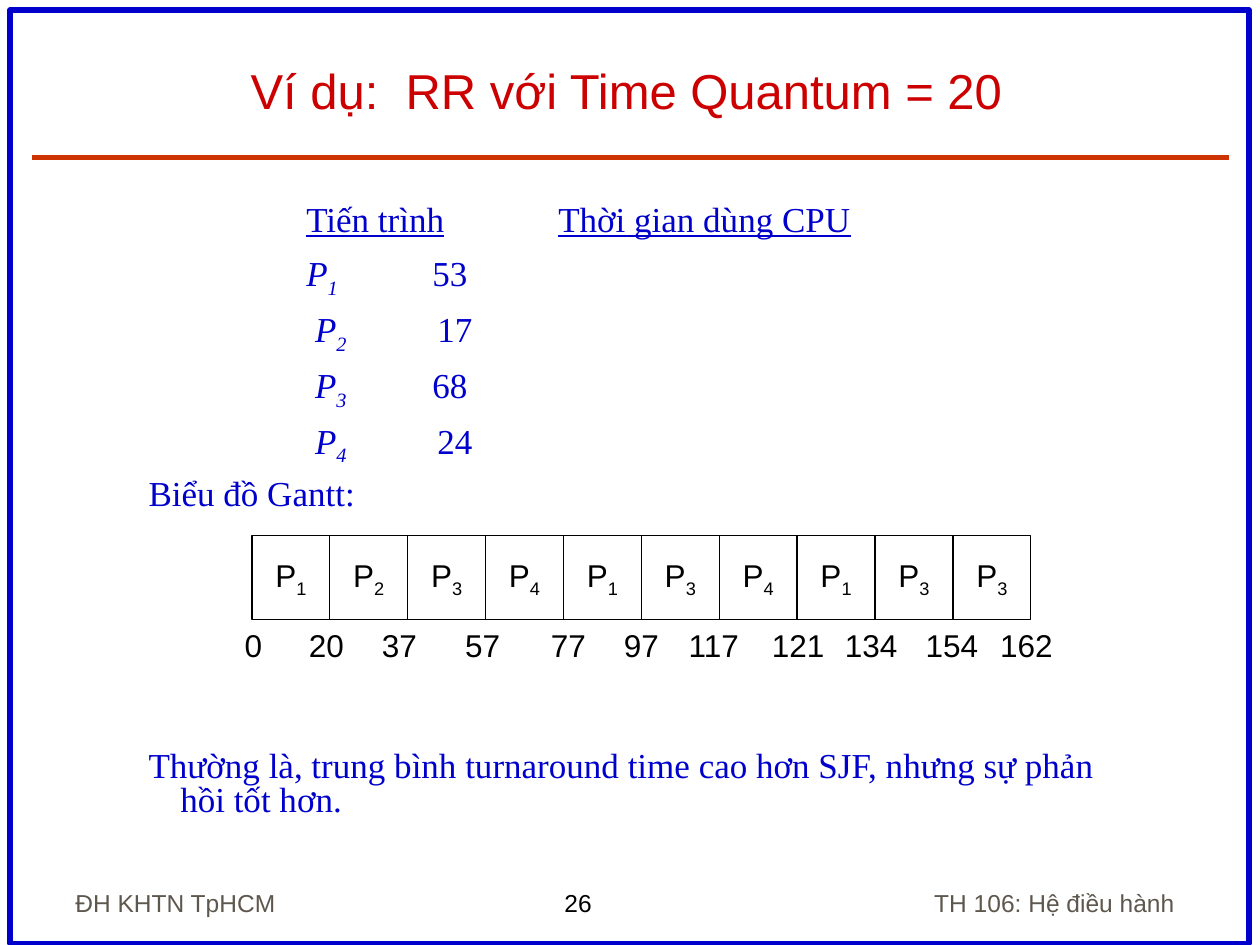
from pptx import Presentation
from pptx.dml.color import RGBColor
from pptx.enum.shapes import MSO_CONNECTOR, MSO_SHAPE
from pptx.enum.text import MSO_ANCHOR, MSO_AUTO_SIZE, PP_ALIGN
from pptx.oxml.ns import qn
from pptx.util import Cm, Pt
from lxml.etree import SubElement

TITLE = "Ví dụ:  RR với Time Quantum = 20"
HEADS = ("Tiến trình", "Thời gian dùng CPU")
BURSTS = [("", "1", "", "53"), (" ", "2", " ", "17"), (" ", "3", "", "68"), (" ", "4", " ", "24")]
GANTT_HEAD = "Biểu đồ Gantt:"
CONCLUSION = "Thường là, trung bình turnaround time cao hơn SJF, nhưng sự phản hồi tốt hơn."
GANTT = "1234134133"
TIMES = [("0", 5.11), ("20", 6.58), ("37", 8.05), ("57", 9.73), ("77", 11.46), ("97", 12.93),
         ("117", 14.39), ("121", 16.09), ("134", 17.56), ("154", 19.19), ("162", 20.69)]
FOOTERS = [("ĐH KHTN TpHCM", (1.27, 17.35, 5.28, 1.27), PP_ALIGN.LEFT, "grey", MSO_ANCHOR.BOTTOM),
           ("26", (11.13, 17.78, 2.77, 0.86), PP_ALIGN.LEFT, "black", MSO_ANCHOR.TOP),
           ("TH 106: Hệ điều hành", (16.94, 17.35, 6.99, 1.27), PP_ALIGN.RIGHT, "grey", MSO_ANCHOR.BOTTOM)]
COLORS = {"blue": "0000CC", "red": "CC0000", "rule": "CC3300",
          "grey": "5E574E", "black": "000000", "white": "FFFFFF"}
CELL_W, CELL_H, GANTT_X, GANTT_Y = 1.57, 1.69, 5.08, 10.8


def rgb(name):
    return RGBColor.from_string(COLORS[name])


def write(p, text, size=18, font="Arial", color="black", italic=False, underline=False, base=0):
    """Add a formatted run to a paragraph."""
    r = p.add_run()
    r.text = text
    f = r.font
    f.size, f.name, f.italic, f.underline, f.bold = Pt(size), font, italic, underline, False
    f.color.rgb = rgb(color)
    if base:
        r._r.get_or_add_rPr().set("baseline", str(base * 1000))


def place(sp, x, y, w, h):
    sp.left, sp.top, sp.width, sp.height = Cm(x), Cm(y), Cm(w), Cm(h)


def frame(sp, anchor, align=PP_ALIGN.LEFT, wrap=True):
    tf = sp.text_frame
    tf.word_wrap, tf.auto_size, tf.vertical_anchor = wrap, MSO_AUTO_SIZE.NONE, anchor
    tf.paragraphs[0].alignment = align
    return tf


def label(shapes, text, box, align, anchor, wrap=True, **fmt):
    sp = shapes.add_textbox(*map(Cm, box))
    write(frame(sp, anchor, align, wrap).paragraphs[0], text, **fmt)


def rect(shapes, box, line, weight, fill=None):
    sp = shapes.add_shape(MSO_SHAPE.RECTANGLE, *map(Cm, box))
    sp.shadow.inherit = False
    if fill:
        sp.fill.solid()
        sp.fill.fore_color.rgb = rgb(fill)
    else:
        sp.fill.background()
    sp.line.color.rgb = rgb(line)
    sp.line.width = Pt(weight)
    return sp


def body_line(tf, before, *runs):
    p = tf.paragraphs[0] if not tf.paragraphs[0].runs else tf.add_paragraph()
    p.line_spacing, p.space_before, p.space_after = 0.8, Pt(before), Pt(0)
    pPr = p._p.get_or_add_pPr()
    for key, val in (("marL", 0.64), ("indent", -0.64), ("defTabSz", 2.54)):
        pPr.set(key, str(int(Cm(val))))
    SubElement(pPr, qn("a:buNone"))
    for text, fmt in runs:
        write(p, text, size=20, font="Times New Roman", color="blue", **fmt)


def main():
    prs = Presentation()
    prs.slide_width, prs.slide_height = Cm(25.4), Cm(19.05)
    s = prs.slides.add_slide(prs.slide_layouts[1])
    title, body = s.placeholders

    place(title, 1.12, 0.64, 23.01, 1.9)
    tf = frame(title, MSO_ANCHOR.BOTTOM, PP_ALIGN.CENTER)
    write(tf.paragraphs[0], TITLE, size=28, color="red")

    place(body, 2.74, 4.01, 19.74, 12.9)
    tf = frame(body, MSO_ANCHOR.TOP)
    under, ital, sub = {"underline": True}, {"italic": True}, {"italic": True, "base": -25}
    body_line(tf, 10, ("\t\t", {}), (HEADS[0], under), ("\t", {}), (HEADS[1], under))
    for lead, number, gap, burst in BURSTS:
        body_line(tf, 10, ("\t\t" + lead, {}), ("P", ital), (number + "\t" + gap, sub), (burst, {}))
    body_line(tf, 10, (GANTT_HEAD, {}))
    body_line(tf, 136.5, (CONCLUSION, {}))

    rect(s.shapes, (0.2, 0.2, 24.98, 18.82), "blue", 3)
    rule = s.shapes.add_connector(MSO_CONNECTOR.STRAIGHT, Cm(0.64), Cm(3.18), Cm(24.77), Cm(3.18))
    rule.line.color.rgb = rgb("rule")
    rule.line.width = Pt(3)
    SubElement(rule._element.spPr, qn("a:effectLst"))

    gantt = s.shapes.add_group_shape()
    for i, number in enumerate(GANTT):
        box = (GANTT_X + i * CELL_W, GANTT_Y, CELL_W, CELL_H)
        cell = rect(gantt.shapes, box, "black", 0.75, "white")
        p = frame(cell, MSO_ANCHOR.MIDDLE, PP_ALIGN.CENTER, wrap=False).paragraphs[0]
        write(p, "P")
        write(p, number, base=-25)
    for time, center in TIMES:
        w = 0.51 + 0.35 * len(time)
        label(s.shapes, time, (center - w / 2, GANTT_Y + CELL_H, w, 1.02),
              PP_ALIGN.CENTER, MSO_ANCHOR.MIDDLE, wrap=False)
    for text, box, align, color, anchor in FOOTERS:
        label(s.shapes, text, box, align, anchor, size=14, color=color)

    prs.save("out.pptx")


if __name__ == "__main__":
    main()
